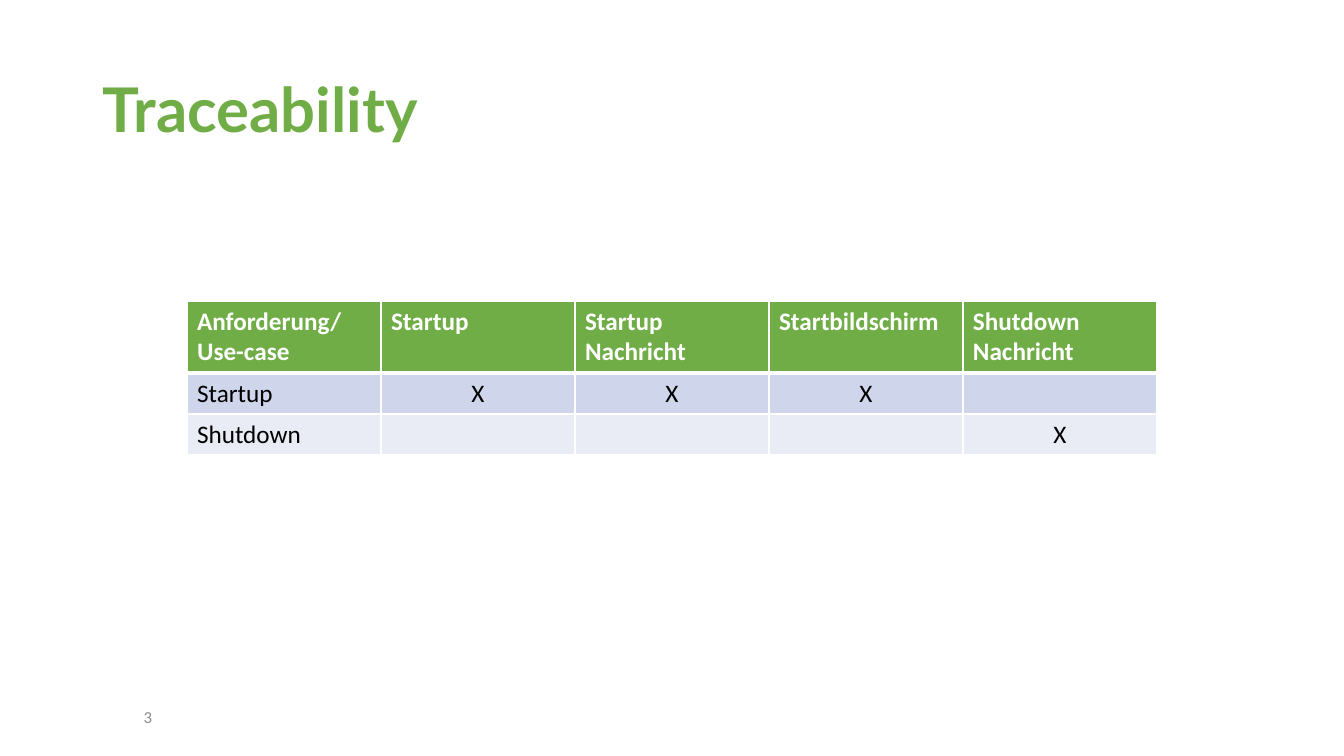
from lxml.etree import SubElement
from pptx import Presentation
from pptx.dml.color import RGBColor
from pptx.enum.text import MSO_ANCHOR, PP_ALIGN
from pptx.oxml.ns import qn
from pptx.util import Emu, Pt

SCALE = 914400 / 100.8  # EMU per pixel

GREEN = RGBColor(0x70, 0xAD, 0x47)
WHITE = RGBColor(0xFF, 0xFF, 0xFF)
BLACK = RGBColor(0x00, 0x00, 0x00)
GREY = RGBColor(0x8C, 0x8C, 0x8C)
BANDS = [RGBColor(0xCF, 0xD5, 0xEA), RGBColor(0xE9, 0xEB, 0xF5)]

COLUMN_WIDTH = 194
ROW_HEIGHTS = [72, 41, 41]
TRACE_ROWS = [
    ["Anforderung/\nUse-case", "Startup", "Startup Nachricht",
     "Startbildschirm", "Shutdown Nachricht"],
    ["Startup", "X", "X", "X", ""],
    ["Shutdown", "", "", "", "X"],
]


def px(pixels):
    return Emu(round(pixels * SCALE))


def style_paragraph(paragraph, font, size, color, bold=False, align=PP_ALIGN.LEFT):
    paragraph.alignment = align
    for span in paragraph.runs:
        span.font.name = font
        span.font.size = Pt(size)
        span.font.color.rgb = color
        span.font.bold = bold


def add_text(page, text, left, top, width, height, **style):
    box = page.shapes.add_textbox(px(left), px(top), px(width), px(height))
    frame = box.text_frame
    frame.word_wrap = True
    frame.vertical_anchor = MSO_ANCHOR.MIDDLE
    frame.text = text
    style_paragraph(frame.paragraphs[0], **style)
    return box


def set_border(cell, side, points, color):
    line = SubElement(cell._tc.get_or_add_tcPr(), qn("a:ln" + side), w=str(Pt(points)))
    fill = SubElement(line, qn("a:solidFill"))
    SubElement(fill, qn("a:srgbClr"), val=str(color))


def fill_cell(cell, text, row, column):
    header = row == 0
    widths = {"L": 1, "R": 1, "T": 3 if row == 1 else 1, "B": 3 if header else 1}
    for side, points in widths.items():
        set_border(cell, side, points, WHITE)
    cell.fill.solid()
    cell.fill.fore_color.rgb = GREEN if header else BANDS[(row - 1) % 2]
    cell.text_frame.text = text
    centred = not header and column > 0
    for paragraph in cell.text_frame.paragraphs:
        style_paragraph(paragraph, "Calibri", 18, WHITE if header else BLACK,
                        bold=header,
                        align=PP_ALIGN.CENTER if centred else PP_ALIGN.LEFT)


def add_trace_table(page, left, top):
    columns = len(TRACE_ROWS[0])
    frame = page.shapes.add_table(len(TRACE_ROWS), columns, px(left), px(top),
                                  px(COLUMN_WIDTH * columns), px(sum(ROW_HEIGHTS)))
    table = frame.table
    for column in table.columns:
        column.width = px(COLUMN_WIDTH)
    for row, texts in enumerate(TRACE_ROWS):
        table.rows[row].height = px(ROW_HEIGHTS[row])
        for column, text in enumerate(texts):
            fill_cell(table.cell(row, column), text, row, column)


def main():
    deck = Presentation()
    deck.slide_width, deck.slide_height = px(1344), px(756)
    page = deck.slides.add_slide(deck.slide_layouts[6])

    # Title
    title = add_text(page, "Traceability", 93, 40, 1159, 146,
                     font="Lato", size=44, color=GREEN, bold=True)
    title.text_frame.paragraphs[0].line_spacing = 0.9

    # Requirements against use cases
    add_trace_table(page, 187, 301)

    # Page number
    add_text(page, "3", 76, 697, 144, 39,
             font="Calibri", size=12, color=GREY, align=PP_ALIGN.CENTER)

    deck.save("out.pptx")


main()
